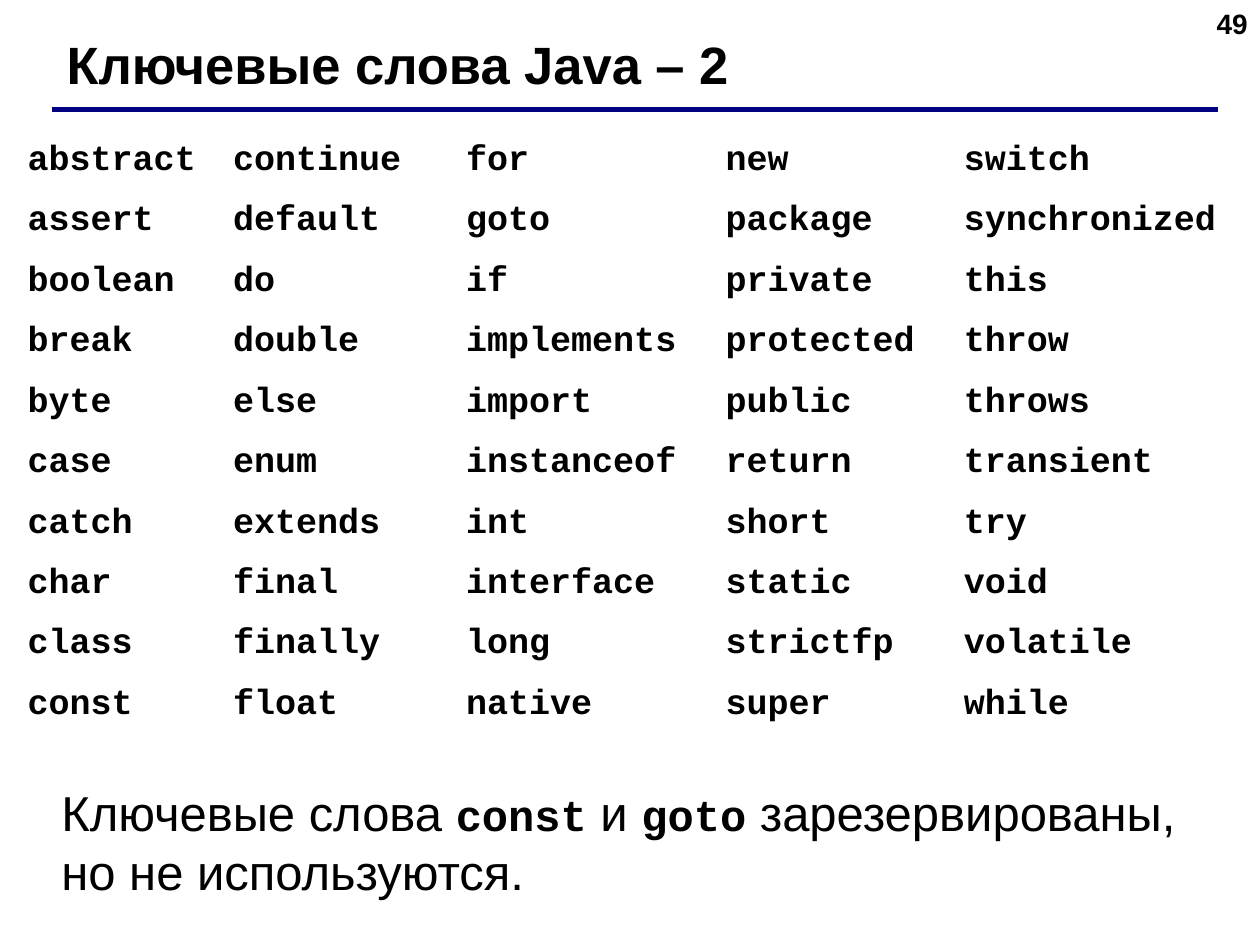
from lxml.etree import SubElement
from pptx import Presentation
from pptx.dml.color import RGBColor
from pptx.enum.shapes import MSO_CONNECTOR
from pptx.enum.text import PP_ALIGN
from pptx.oxml.ns import qn
from pptx.util import Pt

SANS, MONO = "Arial", "Courier New"
BLACK, WHITE, NAVY = "000000", "FFFFFF", "000080"

KEYWORDS = """
abstract continue for new switch
assert default goto package synchronized
boolean do if private this
break double implements protected throw
byte else import public throws
case еnum instanceof return transient
catch extends int short try
char final interface static void
class finally long strictfp volatile
const float native super while
"""


def rgb(color):
    """Turn a hex string into a colour."""
    return RGBColor.from_string(color)


def set_font(font, name, size, bold=False):
    """Set a black font of the given face and size."""
    font.name, font.size, font.bold = name, Pt(size), bold
    font.color.rgb = rgb(BLACK)


def add_text(s, x, y, w, h):
    """Add a wrapping text box and return its first paragraph."""
    tf = s.shapes.add_textbox(Pt(x), Pt(y), Pt(w), Pt(h)).text_frame
    tf.word_wrap = True
    return tf.paragraphs[0]


def add_number(s, x, y, w, h, number):
    """Add the right-aligned slide number."""
    p = add_text(s, x, y, w, h)
    p.text = number
    p.alignment = PP_ALIGN.RIGHT
    set_font(p.font, SANS, 16, True)


def add_title(s, x, y, w, h, title):
    """Add the title with the rule under it."""
    line = s.shapes.add_connector(
        MSO_CONNECTOR.STRAIGHT, Pt(x), Pt(y + h), Pt(x + w), Pt(y + h))
    line.line.color.rgb = rgb(NAVY)
    line.line.width = Pt(3)
    SubElement(line._element.spPr, qn("a:effectLst"))
    p = add_text(s, x + 1.5, y, w - 26, h - 4.5)
    p.text = title
    set_font(p.font, SANS, 30, True)


def style_cell(cell):
    """Give a cell thin white borders and a white fill."""
    tcPr = cell._tc.get_or_add_tcPr()
    for side in ("a:lnL", "a:lnR", "a:lnT", "a:lnB"):
        ln = SubElement(tcPr, qn(side), w=str(Pt(0.45)))
        SubElement(SubElement(ln, qn("a:solidFill")), qn("a:srgbClr"), val=WHITE)
    cell.fill.solid()
    cell.fill.fore_color.rgb = rgb(WHITE)


def add_keywords(s, x, y, w, h, rows, widths, row_height):
    """Add the keyword table, its last row taking the remaining height."""
    table = s.shapes.add_table(
        len(rows), len(widths), Pt(x), Pt(y), Pt(w), Pt(h)).table
    table.first_row = table.horz_banding = False
    for column, width in zip(table.columns, widths):
        column.width = Pt(width)
    for row, words in zip(table.rows, rows):
        row.height = Pt(row_height)
        for cell, word in zip(row.cells, words):
            style_cell(cell)
            p = cell.text_frame.paragraphs[0]
            p.text = word
            set_font(p.font, MONO, 20, True)
    table.rows[len(rows) - 1].height = Pt(h - row_height * (len(rows) - 1))


def add_note(s, x, y, w, h, parts):
    """Add the closing sentence, alternating prose and code."""
    p = add_text(s, x, y, w, h)
    for i, part in enumerate(parts):
        r = p.add_run()
        r.text = part
        if i % 2:
            set_font(r.font, MONO, 25, True)
        else:
            set_font(r.font, SANS, 28)


def main():
    """Build the slide and save it."""
    prs = Presentation()
    prs.slide_width, prs.slide_height = Pt(720), Pt(540)
    s = prs.slides.add_slide(prs.slide_layouts[6])
    add_number(s, 552, 0, 168, 37.5, "49")
    add_title(s, 29.5, 15, 666.5, 47.5, "Ключевые слова Java – 2")
    rows = [line.split() for line in KEYWORDS.strip().splitlines()]
    add_keywords(s, 8.6, 77, 698.4, 363.6, rows,
                 [117.4, 133.2, 148.3, 136.1, 163.4], 34.56)
    add_note(s, 28, 443.5, 652.5, 75,
             ["Ключевые слова ", "const", " и ", "goto",
              " зарезервированы, но не используются."])
    prs.save("out.pptx")


if __name__ == "__main__":
    main()
